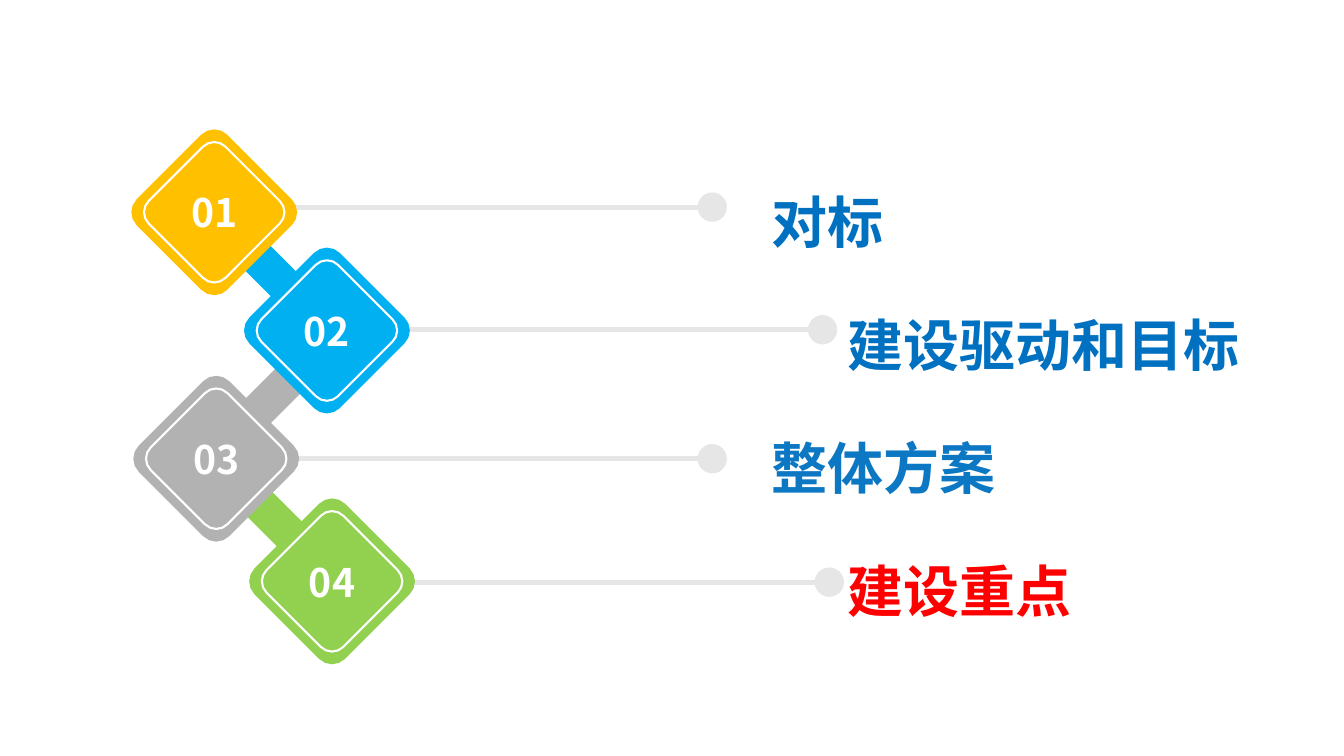
"""Builds an agenda slide with four linked diamonds and their headings."""
from dataclasses import dataclass
from math import cos, radians, sin

from lxml.etree import SubElement as Sub
from pptx import Presentation
from pptx.dml.color import RGBColor as Rgb
from pptx.enum.shapes import MSO_CONNECTOR as Conn, MSO_SHAPE as Kind
from pptx.enum.text import MSO_ANCHOR as Anchor, MSO_AUTO_SIZE as Fit, PP_ALIGN as Align
from pptx.oxml.ns import qn
from pptx.util import Cm, Pt


@dataclass(frozen=True)
class Theme:
    font: str = "Noto Sans CJK SC"
    white: str = "FFFFFF"
    rail: str = "E6E6E6"
    num: int = 28
    head: int = 40
    lead: int = 80
    gap: int = 8
    rim: float = 1.5
    rail_w: float = 3.6


THEME = Theme()
STEPS = [
    dict(num="01", fill="FFC000", mid=(5.4, 5.35), dot=(17.95, 5.22)),
    dict(num="02", fill="00B0F0", mid=(8.24, 8.33), dot=(20.73, 8.31)),
    dict(num="03", fill="B2B2B2", mid=(5.45, 11.56), dot=(17.95, 11.56)),
    dict(num="04", fill="92D050", mid=(8.37, 14.65), dot=(20.9, 14.67)),
]
LINKS = [(6.68, 6.69, 45), (7.07, 9.79, 135), (6.73, 12.89, 45)]
HEADS = [
    ("对标", "0070C0", 0),
    ("建设驱动和目标", "0070C0", 1.92),
    ("整体方案", "0C77C3", 0),
    ("建设重点", "FF0000", 1.92),
]
TEXT_BOX = (19.2, 3.47, 13.64, 12.67)
RAIL, DOT = 11.02, 0.74
BAR_LEN, BAR_W = 2.9, 0.89
OUTER, INNER = (2.09, 0.46), (1.77, 0.4)


def paint(shape, fill=None, line=None):
    shape.shadow.inherit = False
    if fill:
        shape.fill.solid()
        shape.fill.fore_color.rgb = Rgb.from_string(fill)
    else:
        shape.fill.background()
    if line:
        shape.line.color.rgb = Rgb.from_string(line)
        shape.line.width = Pt(THEME.rim)
    else:
        shape.line.fill.background()


def style(para, size, color):
    for run in para.runs:
        font = run.font
        font.name, font.size, font.bold = THEME.font, Pt(size), True
        font.color.rgb = Rgb.from_string(color)
        Sub(run._r.get_or_add_rPr(), qn("a:ea"), typeface=THEME.font)


def block(shapes, kind, mid, size):
    (x, y), (wide, high) = mid, size
    return shapes.add_shape(kind, Cm(x - wide / 2), Cm(y - high / 2), Cm(wide), Cm(high))


def gem(shapes, mid, half, curve):
    pts = []
    for side in range(0, 360, 90):
        cx = mid[0] + (half - curve) * cos(radians(side))
        cy = mid[1] + (half - curve) * sin(radians(side))
        for turn in (-45, -22.5, 0, 22.5, 45):
            angle = radians(side + turn)
            pts.append((Cm(cx + curve * cos(angle)), Cm(cy + curve * sin(angle))))
    pen = shapes.build_freeform(*pts[0])
    pen.add_line_segments(pts[1:], close=True)
    return pen.convert_to_shape()


def add_rail(shapes, dot):
    x, y = dot
    rail = shapes.add_connector(Conn.STRAIGHT, Cm(x - RAIL), Cm(y), Cm(x), Cm(y))
    rail.line.color.rgb = Rgb.from_string(THEME.rail)
    rail.line.width = Pt(THEME.rail_w)
    Sub(rail._element.spPr, qn("a:effectLst"))
    paint(block(shapes, Kind.OVAL, dot, (DOT, DOT)), THEME.rail)


def add_link(shapes, x, y, turn, fill):
    bar = block(shapes, Kind.ROUNDED_RECTANGLE, (x, y), (BAR_LEN, BAR_W))
    bar.adjustments[0] = 0.3
    bar.rotation = turn
    paint(bar, fill)


def add_step(shapes, step):
    tile = gem(shapes, step["mid"], *OUTER)
    paint(tile, step["fill"])
    frame = tile.text_frame
    frame.text = step["num"]
    frame.vertical_anchor = Anchor.MIDDLE
    para = frame.paragraphs[0]
    para.alignment = Align.CENTER
    style(para, THEME.num, THEME.white)
    paint(gem(shapes, step["mid"], *INNER), line=THEME.white)


def add_heads(shapes):
    frame = shapes.add_textbox(*map(Cm, TEXT_BOX)).text_frame
    frame.word_wrap = True
    frame.auto_size = Fit.SHAPE_TO_FIT_TEXT
    frame.text = "\n".join(head[0] for head in HEADS)
    for row, (para, (_, color, shift)) in enumerate(zip(frame.paragraphs, HEADS)):
        para.line_spacing = Pt(THEME.lead)
        if row:
            para.space_before = Pt(THEME.gap)
        para._p.get_or_add_pPr().set("marL", str(Cm(shift)))
        style(para, THEME.head, color)


def main():
    deck = Presentation()
    deck.slide_width, deck.slide_height = Cm(33.87), Cm(19.05)
    shapes = deck.slides.add_slide(deck.slide_layouts[6]).shapes
    for step in STEPS:
        add_rail(shapes, step["dot"])
    for link, step in zip(LINKS, STEPS[1:]):
        add_link(shapes, *link, step["fill"])
    for step in STEPS:
        add_step(shapes, step)
    add_heads(shapes)
    deck.save("out.pptx")


if __name__ == "__main__":
    main()
